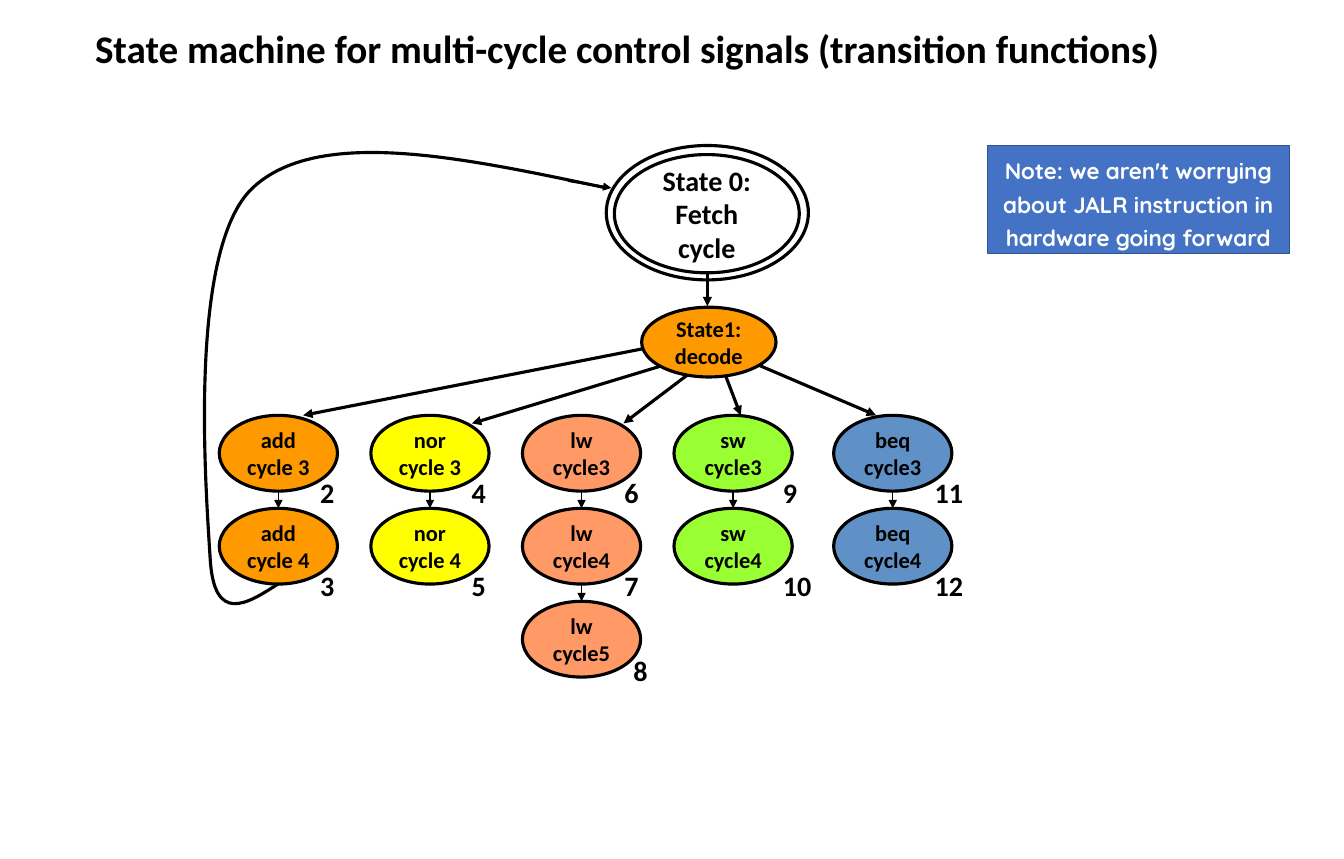
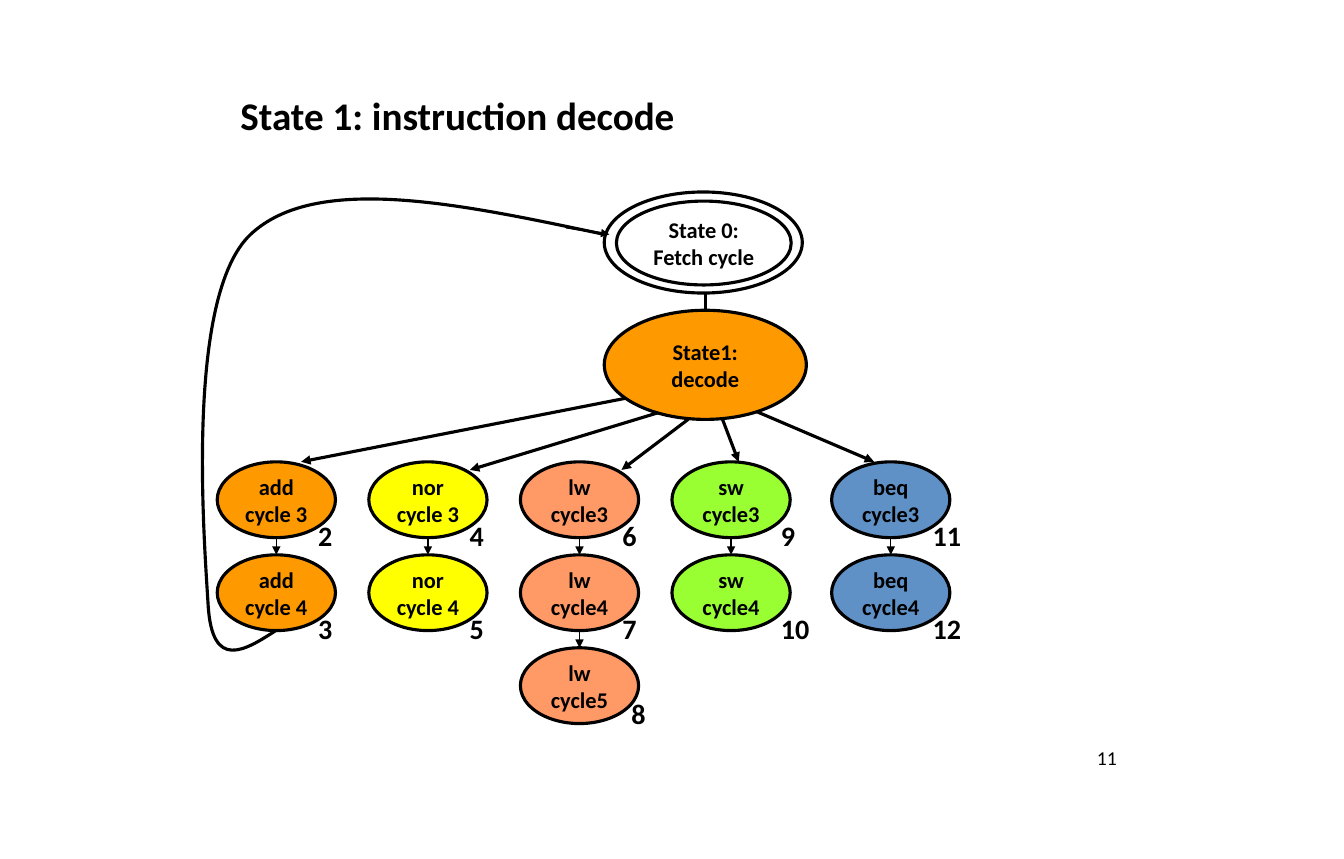
from dataclasses import dataclass
from typing import NamedTuple

from lxml.etree import SubElement
from pptx import Presentation
from pptx.dml.color import RGBColor
from pptx.enum.shapes import MSO_CONNECTOR, MSO_SHAPE
from pptx.enum.text import MSO_ANCHOR as Anchor, PP_ALIGN as Align
from pptx.oxml.ns import qn
from pptx.util import Inches, Pt

BLACK = RGBColor(0x00, 0x00, 0x00)
WHITE = RGBColor(0xFF, 0xFF, 0xFF)
ORANGE = RGBColor(0xFF, 0x99, 0x00)
YELLOW = RGBColor(0xFF, 0xFF, 0x00)
SALMON = RGBColor(0xFF, 0x99, 0x66)
GREEN = RGBColor(0x99, 0xFF, 0x33)
STEEL = RGBColor(0x5F, 0x91, 0xC7)
NOTE_FILL = RGBColor(0x44, 0x72, 0xC4)
NOTE_LINE = RGBColor(0x31, 0x53, 0x8F)

BODY_FONT = "Calibri"
NOTE_FONT = "Quicksand"
TITLE_ONLY = 5
OUTLINE = 2.25

STATE_W, STATE_H = 1.17, 0.75
FIRST_ROW, ROW_PITCH = 4.11, 0.92


class Point(NamedTuple):
    x: float
    y: float

    def moved(self, by: "Point") -> "Point":
        return Point(self.x + by.x, self.y + by.y)


class Box(NamedTuple):
    left: float
    top: float
    width: float
    height: float


@dataclass(frozen=True)
class Branch:
    """The states of one instruction, from cycle 3 on."""
    instruction: str
    cycle_word: str
    numbers: tuple[int, ...]
    left: float
    fill: RGBColor
    arrow_start: Point
    arrow_end: Point
    number_dx: float = 0.9


@dataclass(frozen=True)
class Machine:
    """What differs between the drawings of the state machine."""
    offset: Point
    fetch_ring: Box
    fetch: Box
    fetch_size: float
    fetch_wrap: bool
    decode: Box
    decode_arrow: tuple[Point, Point]
    number_dy: float


BRANCHES = [
    Branch("add", "cycle ", (2, 3), 2.17, ORANGE, Point(6.42, 3.44), Point(3, 4.11)),
    Branch("nor", "cycle ", (4, 5), 3.67, YELLOW, Point(6.58, 3.61), Point(4.67, 4.19)),
    Branch("lw", "cycle", (6, 7, 8), 5.17, SALMON, Point(6.83, 3.69), Point(6.17, 4.19), 0.91),
    Branch("sw", "cycle", (9, 10), 6.67, GREEN, Point(7.17, 3.69), Point(7.33, 4.11), 0.98),
    Branch("beq", "cycle", (11, 12), 8.25, STEEL, Point(7.5, 3.61), Point(8.67, 4.11)),
]
LAST_CYCLE_NUDGE = Point(0.09, -0.08)

RETURN_CURVE = [
    Point(2.75, 5.78),
    Point(2.44, 5.98), Point(2.12, 6.18), Point(2.08, 5.53),
    Point(2.04, 4.87), Point(1.85, 2.47), Point(2.5, 1.86),
    Point(3.15, 1.25), Point(4.58, 1.56), Point(6, 1.86),
]
RETURN_ARROW = (Point(5.62, 1.79), Point(6.05, 1.86))

TRANSITIONS = Machine(
    offset=Point(0, 0),
    fetch_ring=Box(6, 1.44, 2, 1.33),
    fetch=Box(6.08, 1.53, 1.83, 1.17),
    fetch_size=20,
    fetch_wrap=True,
    decode=Box(6.35, 3.04, 1.33, 0.69),
    decode_arrow=(Point(7, 2.69), Point(7, 3.03)),
    number_dy=0.55,
)
DECODE_STATE = Machine(
    offset=Point(-0.02, 0.46),
    fetch_ring=Box(5.98, 1.9, 1.96, 1),
    fetch=Box(6.1, 1.99, 1.73, 0.83),
    fetch_size=16,
    fetch_wrap=False,
    decode=Box(5.98, 3.07, 2, 1.08),
    decode_arrow=(Point(6.98, 2.9), Point(6.98, 3.23)),
    number_dy=0.51,
)


def emu(lengths) -> list[int]:
    return [Inches(length) for length in lengths]


def write(frame, text: str, *, size: float = 16, bold: bool = True,
          color: RGBColor = BLACK, font: str = BODY_FONT, align=Align.LEFT,
          anchor=Anchor.TOP, wrap: bool = True, spacing: float = 1.0) -> None:
    """Fill a text frame, with one paragraph for each line of the text."""
    frame.word_wrap = wrap
    frame.vertical_anchor = anchor
    for index, line in enumerate(text.split("\n")):
        paragraph = frame.add_paragraph() if index else frame.paragraphs[0]
        paragraph.alignment = align
        paragraph.line_spacing = spacing
        run = paragraph.add_run()
        run.text = line
        run.font.name = font
        run.font.size = Pt(size)
        run.font.bold = bold
        run.font.color.rgb = color


def add_title(slide, text: str, box: Box) -> None:
    title = slide.shapes.title
    title.left, title.top, title.width, title.height = emu(box)
    write(title.text_frame, text, size=27.9, anchor=Anchor.BOTTOM)


def add_label(slide, text: str, box: Box, **style) -> None:
    write(slide.shapes.add_textbox(*emu(box)).text_frame, text, **style)


def paint(shape, fill: RGBColor | None, line: RGBColor = BLACK,
          width: float = OUTLINE) -> None:
    shape.shadow.inherit = False
    if fill is None:
        shape.fill.background()
    else:
        shape.fill.solid()
        shape.fill.fore_color.rgb = fill
    shape.line.color.rgb = line
    shape.line.width = Pt(width)


def add_state(slide, box: Box, text: str = "", fill: RGBColor | None = None,
              size: float = 16, wrap: bool = False) -> None:
    state = slide.shapes.add_shape(MSO_SHAPE.OVAL, *emu(box))
    paint(state, fill)
    if text:
        write(state.text_frame, text, size=size, align=Align.CENTER,
              anchor=Anchor.MIDDLE, wrap=wrap)


def add_arrow(slide, start: Point, end: Point, width: float = OUTLINE) -> None:
    arrow = slide.shapes.add_connector(MSO_CONNECTOR.STRAIGHT, *emu(start + end))
    arrow.line.color.rgb = BLACK
    arrow.line.width = Pt(width)
    SubElement(arrow.line._get_or_add_ln(), qn("a:tailEnd"), type="triangle")
    SubElement(arrow._element.spPr, qn("a:effectLst"))


def add_curve(slide, points: list[Point]) -> None:
    """Draw cubic Bézier pieces: a start, then three points for each piece."""
    start, *rest = [emu(point) for point in points]
    builder = slide.shapes.build_freeform(*start)
    builder.add_line_segments(rest, close=False)
    curve = builder.convert_to_shape()
    paint(curve, None)
    segments = list(curve._element.iter(qn("a:lnTo")))
    outline = segments[0].getparent()
    for first in range(0, len(segments), 3):
        piece = SubElement(outline, qn("a:cubicBezTo"))
        for segment in segments[first:first + 3]:
            piece.append(segment[0])
            outline.remove(segment)


def add_branch(slide, branch: Branch, machine: Machine) -> None:
    left, first_top = Point(branch.left, FIRST_ROW).moved(machine.offset)
    middle = left + STATE_W / 2
    for row, number in enumerate(branch.numbers):
        top = first_top + row * ROW_PITCH
        add_state(slide, Box(left, top, STATE_W, STATE_H),
                  f"{branch.instruction}\n{branch.cycle_word}{row + 3}", branch.fill)
        if row:
            add_arrow(slide, Point(middle, top - ROW_PITCH + STATE_H),
                      Point(middle, top), width=1)
        spot = Point(left + branch.number_dx, top + machine.number_dy)
        if row == 2:
            spot = spot.moved(LAST_CYCLE_NUDGE)
        width = 0.34 if number < 10 else 0.49
        add_label(slide, str(number), Box(*spot, width, 0.44), size=20, wrap=False)


def add_machine(slide, machine: Machine) -> None:
    add_state(slide, machine.fetch, "State 0:\nFetch cycle",
              size=machine.fetch_size, wrap=machine.fetch_wrap)
    add_state(slide, machine.fetch_ring)
    add_arrow(slide, *machine.decode_arrow)
    for branch in BRANCHES:
        add_arrow(slide, branch.arrow_start.moved(machine.offset),
                  branch.arrow_end.moved(machine.offset))
    for branch in BRANCHES:
        add_branch(slide, branch, machine)
    add_state(slide, machine.decode, "State1:\ndecode", ORANGE)
    add_curve(slide, [point.moved(machine.offset) for point in RETURN_CURVE])
    add_arrow(slide, *[point.moved(machine.offset) for point in RETURN_ARROW], width=1.5)


def add_note(slide, text: str, box: Box) -> None:
    note = slide.shapes.add_shape(MSO_SHAPE.RECTANGLE, *emu(box))
    paint(note, NOTE_FILL, NOTE_LINE, 1)
    write(note.text_frame, text, color=WHITE, font=NOTE_FONT,
          align=Align.CENTER, spacing=1.25)


def main() -> None:
    deck = Presentation()
    deck.slide_width, deck.slide_height = Inches(13.3), Inches(8.5)
    layout = deck.slide_layouts[TITLE_ONLY]

    transitions = deck.slides.add_slide(layout)
    add_machine(transitions, TRANSITIONS)
    add_title(transitions,
              "State machine for multi-cycle control signals (transition functions)",
              Box(0.84, -0.28, 11.64, 1.04))
    add_note(transitions,
             "Note: we aren't worrying about JALR instruction in hardware going forward",
             Box(9.77, 1.44, 2.99, 1.07))

    decode = deck.slides.add_slide(layout)
    add_title(decode, "State 1: instruction decode", Box(2.28, 0.5, 8.75, 0.92))
    add_machine(decode, DECODE_STATE)
    add_label(decode, "11", Box(8.82, 7.33, 2.33, 0.52), size=14, bold=False,
              align=Align.RIGHT)

    deck.save("out.pptx")


if __name__ == "__main__":
    main()
